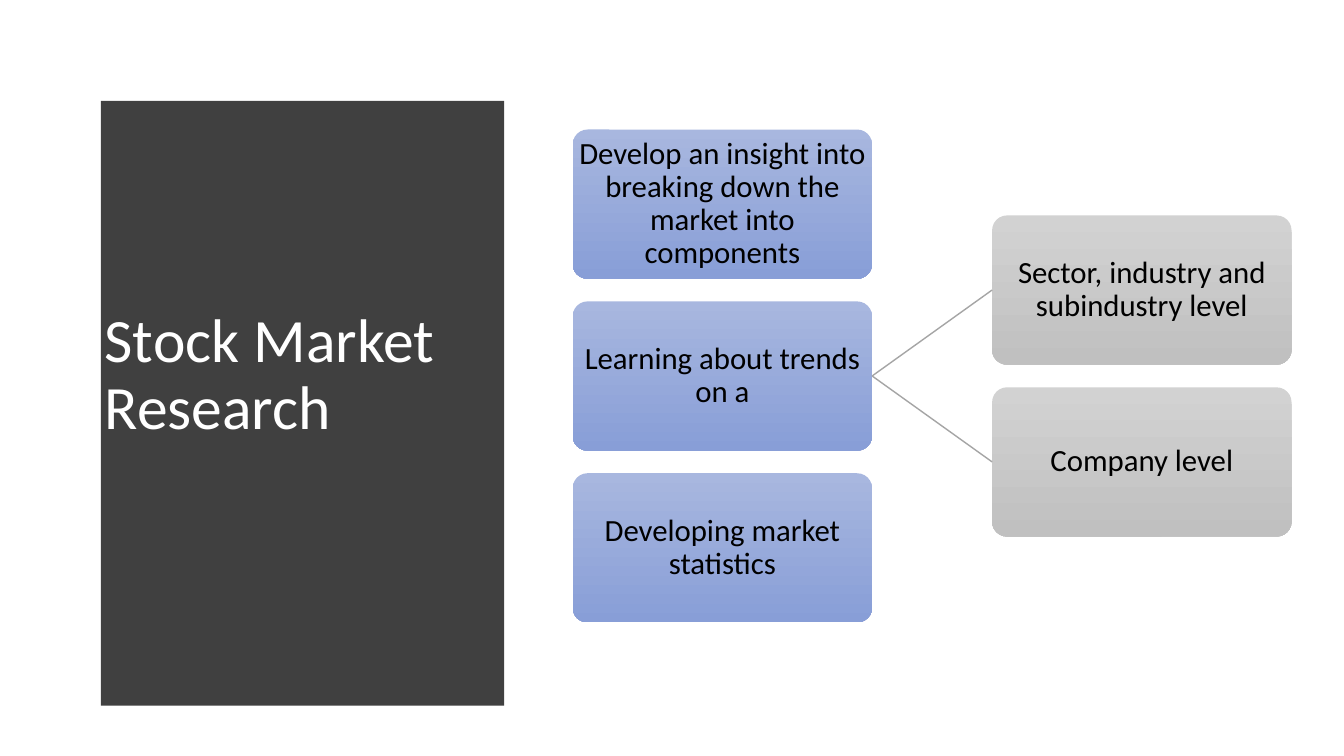
"""Build the Stock Market Research slide with its topic tree."""
from pptx import Presentation
from pptx import util as u
from pptx.dml.color import RGBColor
from pptx.enum import shapes, text
from pptx.oxml.ns import qn
from lxml import etree

TITLE = "Stock Market Research"
TOPICS = [
    "Develop an insight into breaking down the market into components",
    "Learning about trends on a",
    "Developing market statistics",
]
LEVELS = ["Sector, industry and subindustry level", "Company level"]

DARK = RGBColor(0x40, 0x40, 0x40)
WHITE = RGBColor(0xFF, 0xFF, 0xFF)
BLACK = RGBColor(0, 0, 0)
GREY = RGBColor(0xA5, 0xA5, 0xA5)
BLUES = RGBColor(0xA8, 0xB7, 0xDF), RGBColor(0x88, 0x9E, 0xD7)
GREYS = RGBColor(0xD2, 0xD2, 0xD2), RGBColor(0xC0, 0xC0, 0xC0)

LEFT, TOP, EDGE, BASE = 0.53, 0.52, 5.08, 6.96
BULGE, STEPS = 0.24, 40
WIDE, HIGH, PITCH, MID = 2.97, 1.48, 1.705, 3.73

BOX = {"word_wrap": True, "vertical_anchor": text.MSO_ANCHOR.MIDDLE}
SMALL = {side: u.Inches(0.02) for side in
         ("margin_left", "margin_right", "margin_top", "margin_bottom")}


def apply(item, values):
    for name, value in values.items():
        setattr(item, name, value)


def write(shape, words, size, color, align, margins):
    frame = shape.text_frame
    apply(frame, {**BOX, **margins})
    para = frame.paragraphs[0]
    para.text = words
    apply(para, {"alignment": align, "line_spacing": 0.9})
    apply(para.font, {"name": "Calibri", "size": u.Pt(size)})
    para.font.color.rgb = color


def panel(slide):
    curve = []
    for i in range(STEPS + 1):
        t = i / STEPS
        curve.append((EDGE + BULGE * 4 * t * (1 - t), TOP + (BASE - TOP) * t))
    form = slide.shapes.build_freeform(LEFT, TOP, scale=u.Inches(1))
    form.add_line_segments(curve + [(LEFT, BASE)], close=True)
    shape = form.convert_to_shape()
    shape.shadow.inherit = False
    shape.fill.solid()
    shape.fill.fore_color.rgb = DARK
    shape.line.fill.background()


def stack(slide, items, left, colors):
    cards = []
    for i, words in enumerate(items):
        top = MID + (i - (len(items) - 1) / 2) * PITCH - HIGH / 2
        card = slide.shapes.add_shape(
            shapes.MSO_SHAPE.ROUNDED_RECTANGLE,
            u.Inches(left), u.Inches(top), u.Inches(WIDE), u.Inches(HIGH))
        card.adjustments[0] = 0.1
        card.shadow.inherit = False
        card.line.fill.background()
        card.fill.gradient()
        card.fill.gradient_angle = 270
        for stop, color, spot in zip(card.fill.gradient_stops, colors, (0, 1)):
            stop.color.rgb = color
            stop.position = spot
        write(card, words, 22, BLACK, text.PP_ALIGN.CENTER, SMALL)
        cards.append(card)
    return cards


def link(slide, start, end):
    line = slide.shapes.add_connector(shapes.MSO_CONNECTOR.STRAIGHT, 0, 0, 0, 0)
    line.begin_connect(start, 3)
    line.end_connect(end, 1)
    line.line.color.rgb = GREY
    line.line.width = u.Pt(1)
    etree.SubElement(line.element.spPr, qn("a:effectLst"))


def main():
    deck = Presentation()
    apply(deck, {"slide_width": u.Inches(13.33), "slide_height": u.Inches(7.5)})
    slide = deck.slides.add_slide(deck.slide_layouts[6])
    panel(slide)
    title = slide.shapes.add_textbox(
        u.Inches(0.94), u.Inches(1.11), u.Inches(3.74), u.Inches(5.24))
    write(title, TITLE, 44, WHITE, text.PP_ALIGN.LEFT, {})
    topics = stack(slide, TOPICS, 5.68, BLUES)
    for level in stack(slide, LEVELS, 9.84, GREYS):
        link(slide, topics[1], level)
    deck.save("out.pptx")


if __name__ == "__main__":
    main()
